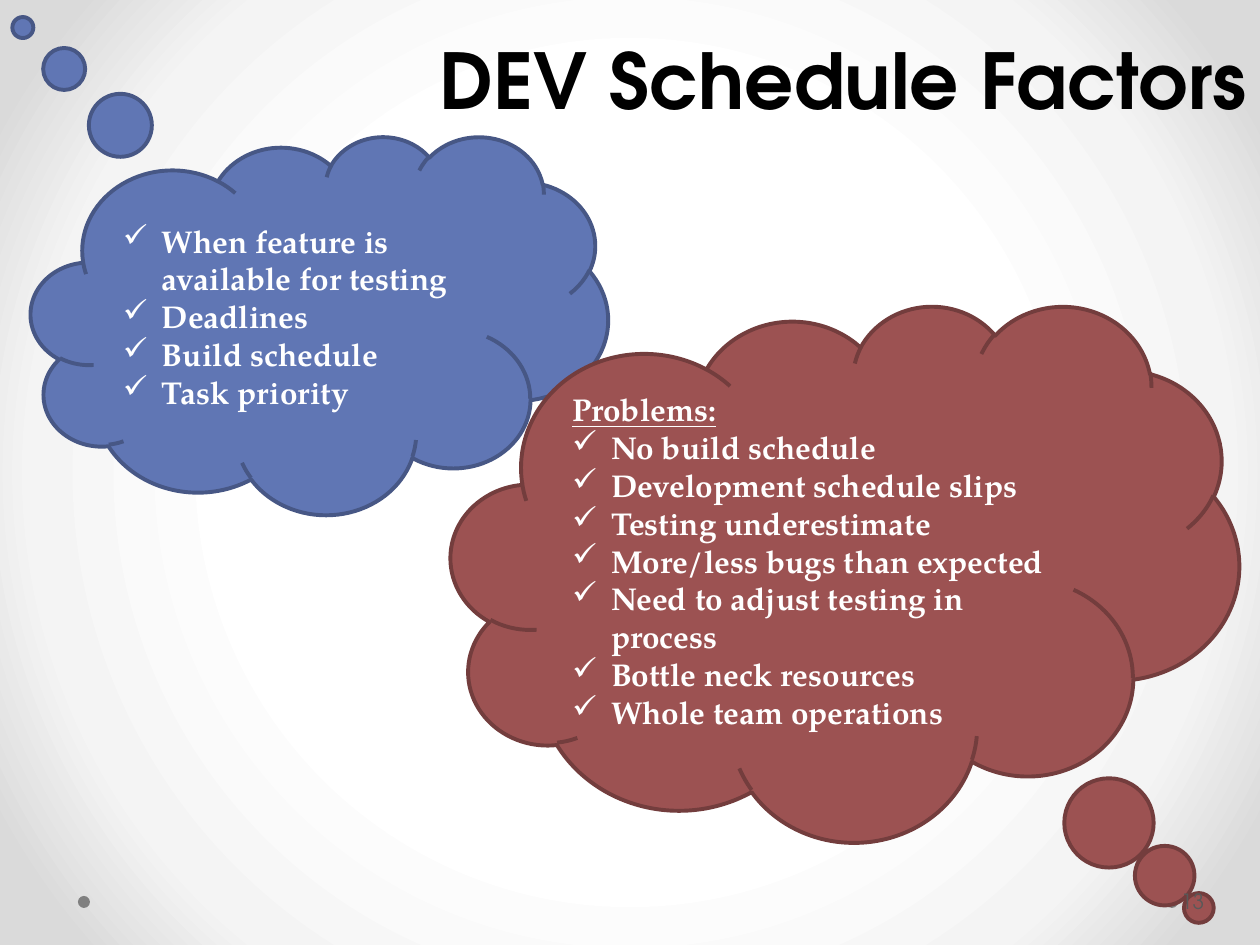
from dataclasses import dataclass

from lxml.etree import SubElement
from pptx import Presentation
from pptx.dml.color import RGBColor
from pptx.enum.shapes import MSO_SHAPE as Shape
from pptx.enum.text import MSO_ANCHOR as Anchor, PP_ALIGN as Align
from pptx.oxml.ns import qn
from pptx.util import Emu, Pt

PX_PER_INCH = 126
HEADING_FONT, BODY_FONT = "TeX Gyre Adventor", "TeX Gyre Pagella"
COLORS = {
    "title": "000000", "page": "595959", "dot": "808080", "cloud_text": "FFFFFF",
    "blue": "6076B4", "blue_edge": "475785",
    "red": "9C5252", "red_edge": "733D3D",
}
BACKDROP_STOPS = [(50, "FFFFFF"), (76, "F4F4F4"), (92, "DADADA")]
BULLET_INDENT = 39


@dataclass
class Box:
    left: int
    top: int
    width: int
    height: int


@dataclass
class Cloud:
    box: Box
    tail: tuple[float, float]
    color: str
    items: list[str]
    heading: str = ""


CLOUDS = [
    Cloud(Box(31, 136, 577, 378), (-0.514, -0.787), "blue",
          ["When feature is available for testing", "Deadlines",
           "Build schedule", "Task priority"]),
    Cloud(Box(451, 305, 788, 536), (0.449, 0.625), "red",
          ["No build schedule", "Development schedule slips",
           "Testing underestimate", "More/less bugs than expected",
           "Need to adjust testing in process", "Bottle neck resources",
           "Whole team operations"], "Problems:"),
]


def px(length: int) -> Emu:
    return Emu(round(length * 914400 / PX_PER_INCH))


def place(box: Box) -> list[Emu]:
    return [px(side) for side in (box.left, box.top, box.width, box.height)]


def color(name: str) -> RGBColor:
    return RGBColor.from_string(COLORS[name])


def style(paragraph, font_name: str, size: int, color_name: str, bold=False) -> None:
    font = paragraph.font
    font.name, font.size, font.bold = font_name, Pt(size), bold
    font.color.rgb = color(color_name)


def paint_backdrop(slide) -> None:
    slide.background.fill.gradient()
    gradient = slide.element.find(".//" + qn("a:gradFill"))
    for child in list(gradient):
        gradient.remove(child)
    stops = SubElement(gradient, qn("a:gsLst"))
    for percent, shade in BACKDROP_STOPS:
        stop = SubElement(stops, qn("a:gs"), pos=str(percent * 1000))
        SubElement(stop, qn("a:srgbClr"), val=shade)
    circle = SubElement(gradient, qn("a:path"), path="circle")
    SubElement(circle, qn("a:fillToRect"), dict.fromkeys("ltrb", "50000"))


def add_check(paragraph) -> None:
    properties = paragraph._p.get_or_add_pPr()
    properties.set("marL", str(px(BULLET_INDENT)))
    properties.set("indent", str(-px(BULLET_INDENT)))
    check = properties.makeelement(qn("a:buChar"), {"char": "✓"})
    properties.insert(0, check)


def add_dot(slide, box: Box) -> None:
    dot = slide.shapes.add_shape(Shape.OVAL, *place(box))
    dot.shadow.inherit = False
    dot.fill.solid()
    dot.fill.fore_color.rgb = color("dot")
    dot.line.fill.background()


def add_cloud(slide, cloud: Cloud) -> None:
    bubble = slide.shapes.add_shape(Shape.CLOUD_CALLOUT, *place(cloud.box))
    bubble.shadow.inherit = False
    bubble.adjustments[0], bubble.adjustments[1] = cloud.tail
    bubble.fill.solid()
    bubble.fill.fore_color.rgb = color(cloud.color)
    bubble.line.color.rgb = color(cloud.color + "_edge")
    bubble.line.width = Pt(2.25)

    frame = bubble.text_frame
    frame.word_wrap, frame.vertical_anchor = True, Anchor.MIDDLE
    lines = ([cloud.heading] if cloud.heading else []) + cloud.items
    frame.text = "\n".join(lines)
    for paragraph in frame.paragraphs:
        paragraph.alignment = Align.LEFT
        style(paragraph, BODY_FONT, 18, "cloud_text", bold=True)
        if paragraph.text == cloud.heading:
            paragraph.font.underline = True
        else:
            add_check(paragraph)


def add_label(slide, box: Box, text: str, size: int, color_name: str,
              alignment: Align, bold=False):
    frame = slide.shapes.add_textbox(*place(box)).text_frame
    frame.word_wrap, frame.vertical_anchor = True, Anchor.MIDDLE
    frame.text = text
    paragraph = frame.paragraphs[0]
    paragraph.alignment = alignment
    style(paragraph, HEADING_FONT, size, color_name, bold)
    return frame


def main() -> None:
    deck = Presentation()
    deck.slide_width, deck.slide_height = px(1260), px(945)
    slide = deck.slides.add_slide(deck.slide_layouts[6])
    paint_backdrop(slide)

    # Footer dots
    for left in (1166, 78):
        add_dot(slide, Box(left, 896, 12, 12))

    # Title
    add_label(slide, Box(126, 0, 1134, 158), "DEV Schedule Factors", 44,
              "title", Align.RIGHT, bold=True)

    # Thought clouds
    for cloud in CLOUDS:
        add_cloud(slide, cloud)

    # Page number
    page = add_label(slide, Box(1177, 876, 77, 50), "13", 12, "page", Align.LEFT)
    page.margin_left = px(4)
    page.margin_right = page.margin_top = page.margin_bottom = px(6)

    deck.save("out.pptx")


if __name__ == "__main__":
    main()
